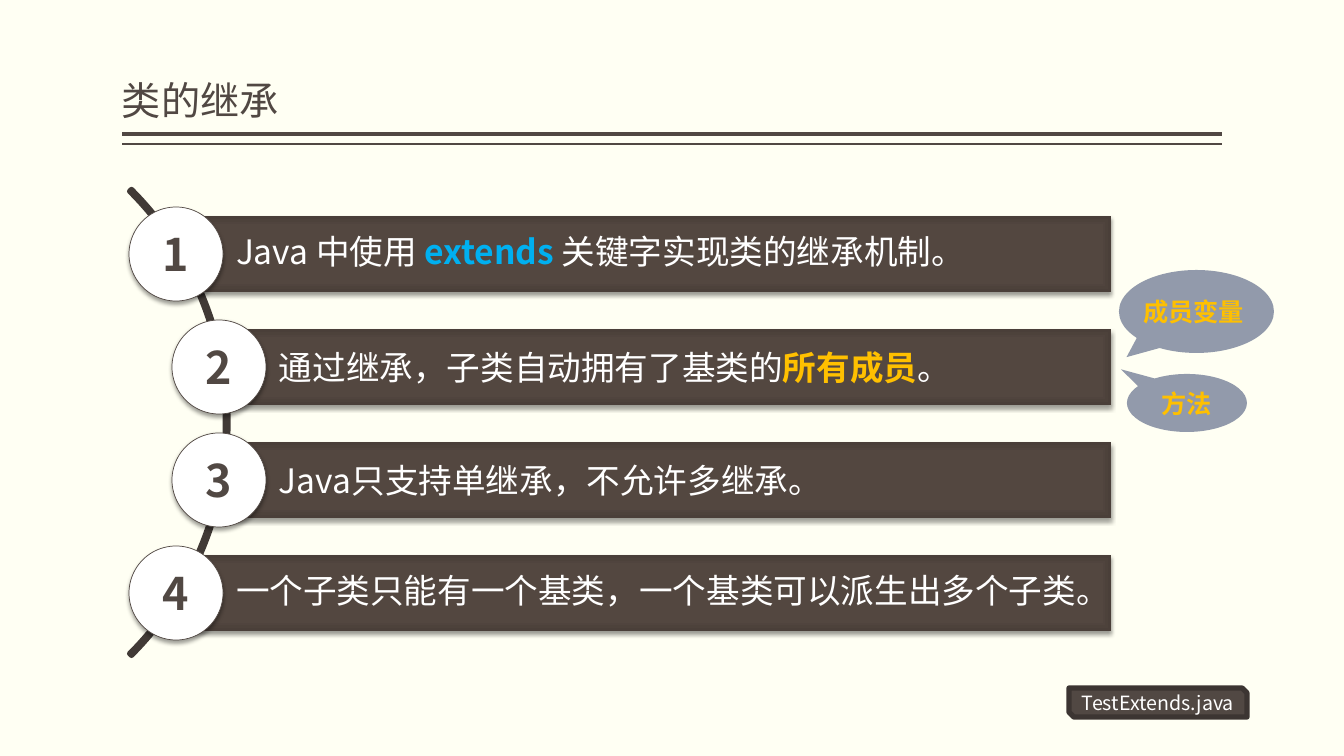
from dataclasses import dataclass

from lxml.etree import SubElement
from pptx import Presentation
from pptx.dml.color import RGBColor
from pptx.enum.shapes import MSO_CONNECTOR, MSO_SHAPE
from pptx.enum.text import MSO_ANCHOR, MSO_AUTO_SIZE, PP_ALIGN
from pptx.oxml import parse_xml
from pptx.oxml.ns import nsdecls, qn
from pptx.util import Pt

# Content: bar left edge, line spacing, text runs as (text, accent)
TITLE = "类的继承"
POINTS = [
    (176, 0.9, [("Java 中使用 ", None), ("extends ", "keyword"), ("关键字实现类的继承机制。", None)]),
    (219, 1.0, [("通过继承，子类自动拥有了基类的", None), ("所有成员", "highlight"), ("。", None)]),
    (219, 1.0, [("Java只支持单继承，不允许多继承。", None)]),
    (176, 0.9, [("一个子类只能有一个基类，一个基类可以派生出多个子类。", None)]),
]
# Callouts: text, box, tail position, right inset
CALLOUTS = [
    ("方法", (1127, 374, 120, 58), (-0.551, -0.581), 0),
    ("成员变量", (1119, 270, 155, 83), (-0.451, 0.55), 6),
]
FILE_LABEL = "TestExtends.java"
RULES = [(134, 3), (144, 1)]  # y, line width


@dataclass(frozen=True)
class Theme:
    font: str = "Noto Sans CJK SC"
    background: str = "FFFFF3"
    ink: str = "514843"
    arc: str = "413A36"
    label_edge: str = "3C3532"
    white: str = "FFFFFF"
    keyword: str = "00B0F0"
    highlight: str = "FFC000"
    callout: str = "929AAB"
    bar_stops: tuple = ((0, "544740"), (71, "534740"), (100, "4A3F39"))
    title_size: int = 28
    number_size: int = 32
    point_size: int = 24
    callout_size: int = 18
    label_size: int = 14
    heavy_line: float = 3.78


THEME = Theme()
SCALE = 914400 / 100.8
LEFT, RIGHT = 122, 1222
BAR_TOP, BAR_PITCH, BAR_HEIGHT, BAR_RIGHT = 216, 113, 76, 1111
CIRCLE = 94


def px(length):
    return round(length * SCALE)


def color(value):
    return RGBColor.from_string(value)


def write(shape, runs, size, ink, bold=False, align=PP_ALIGN.CENTER,
          anchor=MSO_ANCHOR.MIDDLE, insets=(0, 0, 0, 0), spacing=1.0):
    frame = shape.text_frame
    frame.word_wrap = True
    frame.auto_size = MSO_AUTO_SIZE.NONE
    frame.vertical_anchor = anchor
    frame.margin_left, frame.margin_top, frame.margin_right, frame.margin_bottom = map(px, insets)
    paragraph = frame.paragraphs[0]
    paragraph.alignment = align
    paragraph.line_spacing = spacing
    font = paragraph.font
    font.size, font.bold, font.name = Pt(size), bold, THEME.font
    font.color.rgb = color(ink)
    # East Asian typeface
    defaults = paragraph._p.pPr.find(qn("a:defRPr"))
    SubElement(defaults, qn("a:ea")).set("typeface", THEME.font)
    for text, accent in runs:
        run = paragraph.add_run()
        run.text = text
        if accent:
            run.font.bold = True
            run.font.color.rgb = color(getattr(THEME, accent))


def add_shape(slide, kind, box, fill=None, line=None, width=0, adjustments=()):
    shape = slide.shapes.add_shape(kind, *map(px, box))
    shape.shadow.inherit = False
    for index, value in enumerate(adjustments):
        shape.adjustments[index] = value
    if fill:
        shape.fill.solid()
        shape.fill.fore_color.rgb = color(fill)
    else:
        shape.fill.background()
    if line:
        shape.line.color.rgb = color(line)
        shape.line.width = Pt(width)
    else:
        shape.line.fill.background()
    return shape


def add_shadow(shape):
    effects = shape._element.spPr.find(qn("a:effectLst"))
    effects.append(parse_xml(
        f'<a:outerShdw {nsdecls("a")} blurRad="40000" dist="25400" dir="5400000" rotWithShape="0">'
        '<a:srgbClr val="000000"><a:alpha val="38000"/></a:srgbClr></a:outerShdw>'))


def add_bar_gradient(shape):
    stops = "".join(f'<a:gs pos="{position * 1000}"><a:srgbClr val="{value}"/></a:gs>'
                    for position, value in THEME.bar_stops)
    properties = shape._element.spPr
    properties.replace(properties.find(qn("a:noFill")), parse_xml(
        f'<a:gradFill {nsdecls("a")} rotWithShape="1"><a:gsLst>{stops}</a:gsLst><a:path path="rect">'
        '<a:fillToRect l="50000" t="50000" r="50000" b="50000"/></a:path></a:gradFill>'))


def add_rule(slide, y, width):
    rule = slide.shapes.add_connector(MSO_CONNECTOR.STRAIGHT, px(RIGHT), px(y), px(LEFT), px(y))
    rule.line.color.rgb = color(THEME.ink)
    rule.line.width = Pt(width)
    SubElement(rule._element.spPr, qn("a:effectLst"))


def add_point(slide, index, left, spacing, runs):
    top = BAR_TOP + index * BAR_PITCH
    bar = add_shape(slide, MSO_SHAPE.RECTANGLE, (left, top, BAR_RIGHT - left, BAR_HEIGHT))
    add_bar_gradient(bar)
    add_shadow(bar)
    write(bar, runs, THEME.point_size, THEME.white, align=PP_ALIGN.LEFT,
          insets=(60, 7, 7, 7), spacing=spacing)
    circle_top = top + (BAR_HEIGHT - CIRCLE) / 2
    circle = add_shape(slide, MSO_SHAPE.OVAL, (left - CIRCLE / 2, circle_top, CIRCLE, CIRCLE),
                       THEME.white, THEME.ink, 0.5)
    add_shadow(circle)
    write(circle, [(str(index + 1), None)], THEME.number_size, THEME.ink, bold=True)


def main():
    presentation = Presentation()
    presentation.slide_width, presentation.slide_height = px(1344), px(756)
    slide = presentation.slides.add_slide(presentation.slide_layouts[5])
    slide.background.fill.solid()
    slide.background.fill.fore_color.rgb = color(THEME.background)

    # Title and rules
    title = slide.shapes.title
    title.left, title.top, title.width, title.height = map(px, (LEFT, 8, RIGHT - LEFT, 121))
    write(title, [(TITLE, None)], THEME.title_size, THEME.ink, align=PP_ALIGN.LEFT,
          anchor=MSO_ANCHOR.BOTTOM, insets=(0, 5, 0, 5), spacing=0.9)
    for y, width in RULES:
        add_rule(slide, y, width)

    # Callouts
    for text, box, tail, right_inset in CALLOUTS:
        callout = add_shape(slide, MSO_SHAPE.OVAL_CALLOUT, box, THEME.callout, adjustments=tail)
        write(callout, [(text, None)], THEME.callout_size, THEME.highlight, bold=True,
              insets=(0, 0, right_inset, 0))

    # File label
    label = add_shape(slide, MSO_SHAPE.SNIP_2_DIAG_RECTANGLE, (1069, 688, 178, 29),
                      THEME.ink, THEME.label_edge, THEME.heavy_line)
    write(label, [(FILE_LABEL, None)], THEME.label_size, THEME.white)

    # Arc with numbered points
    arc = add_shape(slide, MSO_SHAPE.BLOCK_ARC, (-431, 93, 659, 659), line=THEME.arc,
                    width=THEME.heavy_line, adjustments=(189, 27, 0.004))
    arc._element.spPr.find(qn("a:ln")).set("cap", "rnd")
    for index, point in enumerate(POINTS):
        add_point(slide, index, *point)

    presentation.save("out.pptx")


if __name__ == "__main__":
    main()
